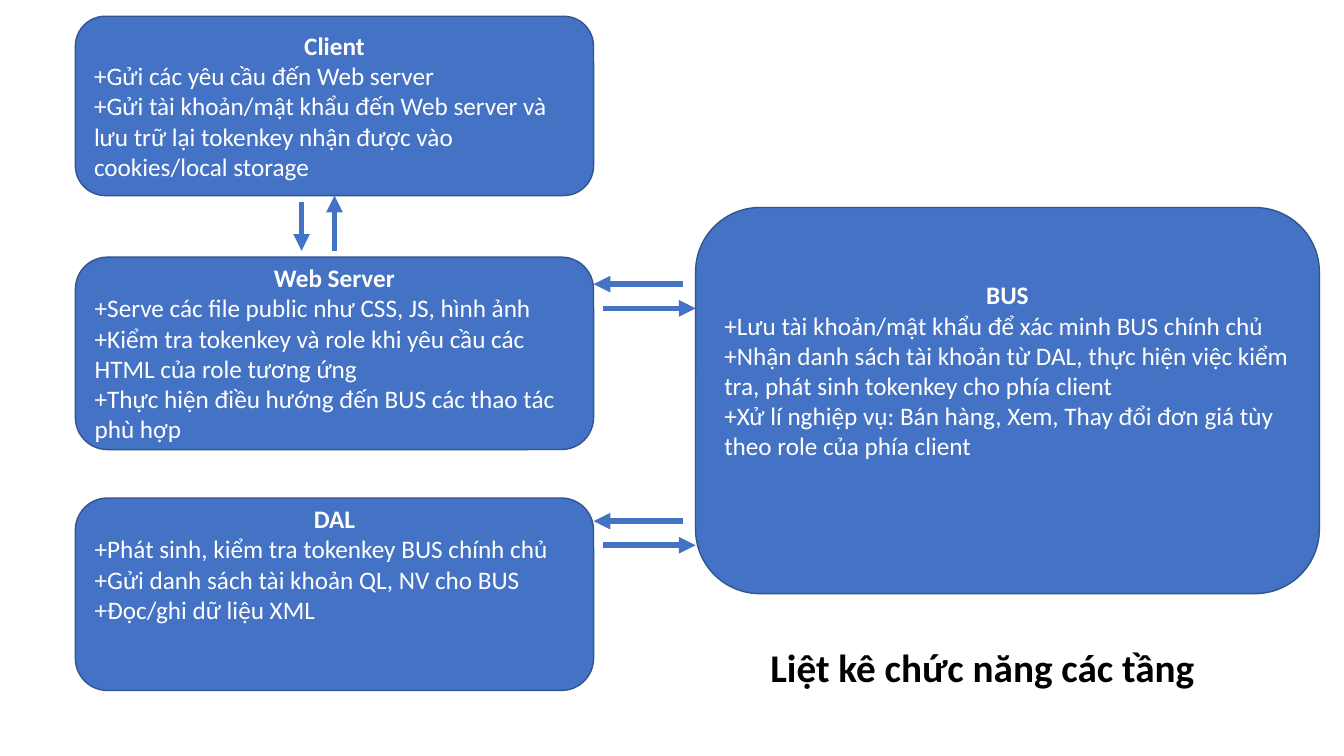
from dataclasses import dataclass

from lxml import etree
from pptx import Presentation
from pptx.dml import color
from pptx.enum import shapes, text
from pptx.oxml import ns
from pptx.util import Cm, Pt

COLORS = {"fill": "4472C4", "outline": "325491", "light": "FFFFFF", "dark": "000000"}
FONT = "Calibri"
LEFT_X, LEFT_W = 1.9, 13.06
BUS_X = 17.53
LEFT_EDGE = LEFT_X + LEFT_W
ARROW_GAP = 0.61


@dataclass
class Layer:
    title: str
    duties: list[str]
    x: float
    y: float
    w: float
    h: float
    bottom_inset: float = 0.13


@dataclass
class Arrow:
    x1: float
    y1: float
    x2: float
    y2: float


LAYERS = [
    Layer("Web Server", [
        "+Serve các file public như CSS, JS, hình ảnh",
        "+Kiểm tra tokenkey và role khi yêu cầu các HTML của role tương ứng",
        "+Thực hiện điều hướng đến BUS các thao tác phù hợp",
    ], LEFT_X, 6.48, LEFT_W, 4.85),
    Layer("BUS", [
        "+Lưu tài khoản/mật khẩu để xác minh BUS chính chủ",
        "+Nhận danh sách tài khoản từ DAL, thực hiện việc kiểm tra, "
        "phát sinh tokenkey cho phía client",
        "+Xử lí nghiệp vụ: Bán hàng, Xem, Thay đổi đơn giá tùy theo role của phía client",
    ], BUS_X, 5.23, 15.72, 9.73, 1.65),
    Layer("DAL", [
        "+Phát sinh, kiểm tra tokenkey BUS chính chủ",
        "+Gửi danh sách tài khoản QL, NV cho BUS",
        "+Đọc/ghi dữ liệu XML",
    ], LEFT_X, 12.55, LEFT_W, 4.85, 1.65),
    Layer("Client", [
        "+Gửi các yêu cầu đến Web server",
        "+Gửi tài khoản/mật khẩu đến Web server và lưu trữ lại tokenkey "
        "nhận được vào cookies/local storage",
    ], LEFT_X, 0.41, LEFT_W, 4.52),
]


def rgb(name: str) -> color.RGBColor:
    return color.RGBColor.from_string(COLORS[name])


def style_paragraph(p, size: float, bold: bool, ink: str, align) -> None:
    p.alignment = align
    for r in p.runs:
        r.font.name = FONT
        r.font.size = Pt(size)
        r.font.bold = bold
        r.font.color.rgb = rgb(ink)


def draw_layer(slide, layer: Layer):
    sp = slide.shapes.add_shape(shapes.MSO_SHAPE.ROUNDED_RECTANGLE,
                                Cm(layer.x), Cm(layer.y), Cm(layer.w), Cm(layer.h))
    sp.shadow.inherit = False
    sp.fill.solid()
    sp.fill.fore_color.rgb = rgb("fill")
    sp.line.color.rgb = rgb("outline")
    sp.line.width = Pt(1)
    tf = sp.text_frame
    tf.word_wrap = True
    tf.vertical_anchor = text.MSO_ANCHOR.MIDDLE
    tf.margin_bottom = Cm(layer.bottom_inset)
    tf.text = "\n".join([layer.title, *layer.duties])
    for i, p in enumerate(tf.paragraphs):
        align = text.PP_ALIGN.LEFT if i else text.PP_ALIGN.CENTER
        style_paragraph(p, 18, i == 0, "light", align)
    return sp


def draw_arrow(slide, arrow: Arrow):
    line = slide.shapes.add_connector(shapes.MSO_CONNECTOR.STRAIGHT, Cm(arrow.x1),
                                      Cm(arrow.y1), Cm(arrow.x2), Cm(arrow.y2))
    line.line.color.rgb = rgb("fill")
    line.line.width = Pt(4)
    ln = line.line._get_or_add_ln()
    etree.SubElement(ln, ns.qn("a:tailEnd"), type="triangle")
    etree.SubElement(line._element.spPr, ns.qn("a:effectLst"))
    return line


def draw_title(slide, caption: str) -> None:
    tf = slide.shapes.add_textbox(Cm(BUS_X), Cm(16.08), Cm(14.45), Cm(2.64)).text_frame
    tf.word_wrap = True
    tf.text = caption
    style_paragraph(tf.paragraphs[0], 28, True, "dark", text.PP_ALIGN.CENTER)


def main() -> None:
    prs = Presentation()
    prs.slide_width, prs.slide_height = Cm(33.87), Cm(19.05)
    slide = prs.slides.add_slide(prs.slide_layouts[6])

    # Layers and title
    boxes = {layer.title: draw_layer(slide, layer) for layer in LAYERS}
    draw_title(slide, "Liệt kê chức năng các tầng")

    # Client and web server
    draw_arrow(slide, Arrow(7.6, 5.08, 7.6, 6.32))
    center = LEFT_X + LEFT_W / 2
    reply = draw_arrow(slide, Arrow(center, 6.32, center, 4.93))
    reply.end_connect(boxes["Client"], 2)

    # BUS with web server and DAL
    for y in (7.16, 13.13):
        draw_arrow(slide, Arrow(17.22, y, LEFT_EDGE, y))
        draw_arrow(slide, Arrow(15.19, y + ARROW_GAP, BUS_X, y + ARROW_GAP))

    prs.save("out.pptx")


if __name__ == "__main__":
    main()
